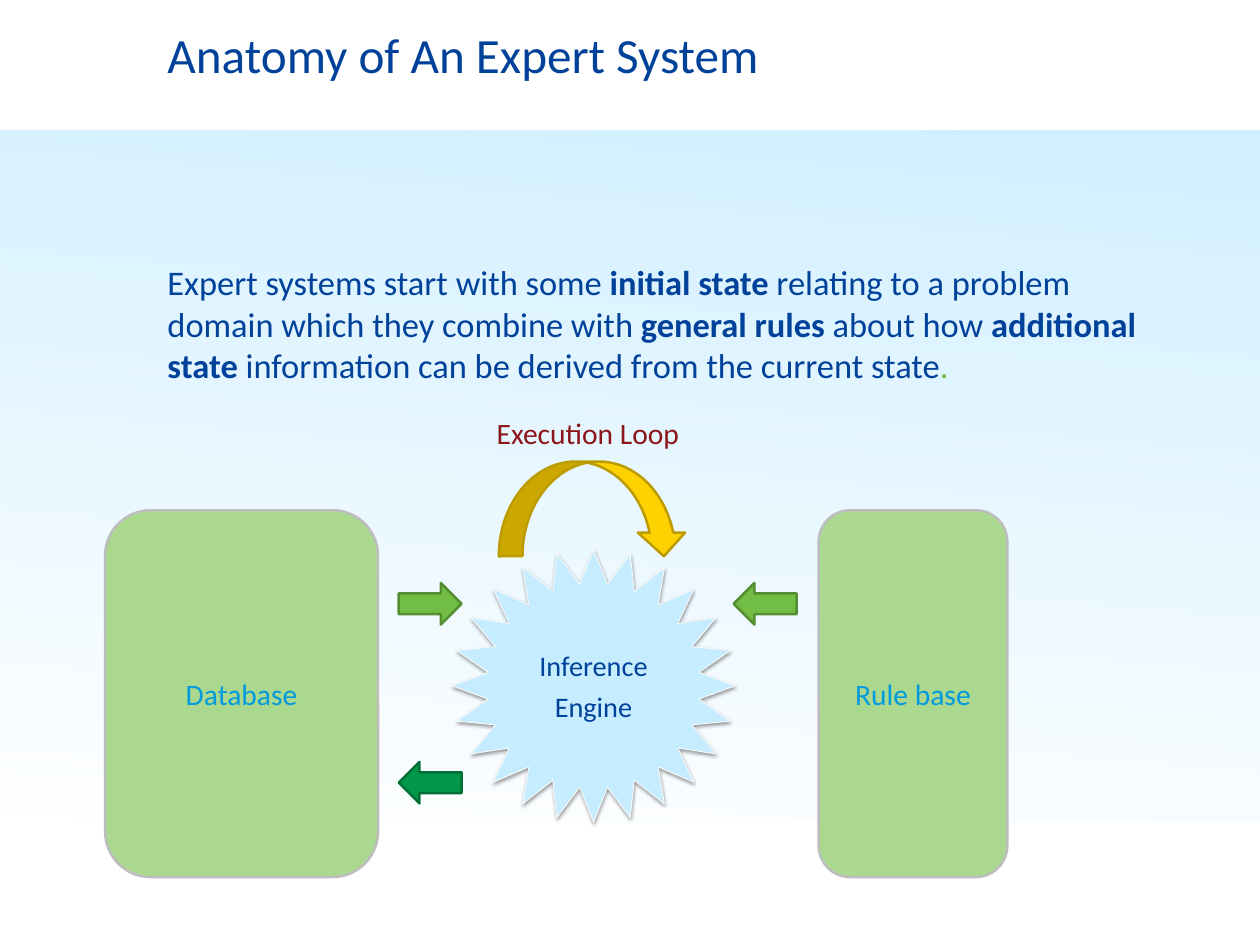
from lxml.etree import SubElement
from pptx import Presentation
from pptx.dml.color import RGBColor
from pptx.enum.shapes import MSO_SHAPE as Preset
from pptx.enum.text import MSO_ANCHOR as Anchor, PP_ALIGN as Align
from pptx.oxml.ns import qn
from pptx.util import Pt

NAVY = RGBColor(0x00, 0x42, 0x9A)
SKY = RGBColor(0x66, 0xCC, 0xFF)
WHITE = RGBColor(0xFF, 0xFF, 0xFF)
AZURE = RGBColor(0x00, 0x9A, 0xDE)
MAROON = RGBColor(0x8C, 0x16, 0x1A)
PALE_GREEN = RGBColor(0xAA, 0xD8, 0x8F)
SILVER = RGBColor(0xBD, 0xBD, 0xBD)
PALE_BLUE = RGBColor(0xC5, 0xED, 0xFF)
MIST = RGBColor(0xF9, 0xF9, 0xF9)
LIME = RGBColor(0x72, 0xBE, 0x44)
MOSS = RGBColor(0x54, 0x8D, 0x32)
GREEN = RGBColor(0x00, 0x97, 0x4A)
FOREST = RGBColor(0x00, 0x70, 0x37)
GOLD = RGBColor(0xFE, 0xD1, 0x00)
BRONZE = RGBColor(0xBC, 0x9B, 0x00)

WIDTH, HEIGHT = 1024, 768


def write(frame, paragraphs, size, color, align=Align.LEFT, anchor=Anchor.TOP,
          inset=(10, 5), wrap=True):
    frame.word_wrap = wrap
    frame.vertical_anchor = anchor
    frame.margin_left = frame.margin_right = Pt(inset[0])
    frame.margin_top = frame.margin_bottom = Pt(inset[1])
    for index, runs in enumerate(paragraphs):
        paragraph = frame.add_paragraph() if index else frame.paragraphs[0]
        paragraph.alignment = align
        if index:
            paragraph.space_before = Pt(6)
        for words, bold, accent in runs:
            run = paragraph.add_run()
            run.text = words
            run.font.name = "Calibri"
            run.font.size = Pt(size)
            run.font.bold = bold
            run.font.color.rgb = accent or color


def plain(words):
    return (words, False, None)


def strong(words):
    return (words, True, None)


def add_text(slide, box, paragraphs, **text_format):
    textbox = slide.shapes.add_textbox(*map(Pt, box))
    write(textbox.text_frame, paragraphs, **text_format)


def add_block(slide, preset, box, fill, outline, weight=2):
    block = slide.shapes.add_shape(preset, *map(Pt, box))
    block.shadow.inherit = False
    block.fill.solid()
    block.fill.fore_color.rgb = fill
    block.line.color.rgb = outline
    block.line.width = Pt(weight)
    return block


def label(block, lines, size, color):
    write(block.text_frame, [[plain(line)] for line in lines], size, color,
          align=Align.CENTER, anchor=Anchor.MIDDLE)


def add_alpha(color_element, percent):
    SubElement(color_element, qn("a:alpha"), val=str(percent * 1000))


def add_backdrop(slide):
    backdrop = slide.shapes.add_shape(
        Preset.RECTANGLE, 0, Pt(105.8), Pt(WIDTH), Pt(561.6))
    backdrop.shadow.inherit = False
    backdrop.line.fill.background()
    backdrop.fill.gradient()
    backdrop.fill.gradient_angle = 265
    for stop, color in zip(backdrop.fill.gradient_stops, (SKY, WHITE)):
        stop.color.rgb = color
    for color_element in list(backdrop._element.spPr.iter(qn("a:srgbClr"))):
        add_alpha(color_element, 30)


def add_drop_shadow(block):
    effects = block._element.spPr.find(qn("a:effectLst"))
    shadow = SubElement(effects, qn("a:outerShdw"), blurRad=str(Pt(3.1)),
                        dist=str(Pt(1.6)), dir="5400000", rotWithShape="0")
    add_alpha(SubElement(shadow, qn("a:srgbClr"), val="000000"), 38)


def add_engine(slide):
    engine = add_block(slide, Preset.STAR_24_POINT, (367.2, 446.4, 230.4, 221.8),
                       PALE_BLUE, MIST, 0.75)
    add_drop_shadow(engine)
    label(engine, ["Inference", "Engine"], 23, NAVY)


def main():
    deck = Presentation()
    deck.slide_width, deck.slide_height = Pt(WIDTH), Pt(HEIGHT)
    slide = deck.slides.add_slide(deck.slide_layouts[6])

    add_backdrop(slide)
    add_text(slide, (131.8, 15.1, 830.2, 118.8),
             [[plain("Anatomy of An Expert System")]],
             size=40, color=NAVY, inset=(4.3, 4.3))
    summary = [
        plain("Expert systems start with some "),
        strong("initial state "),
        plain("relating to a problem domain which they combine with "),
        strong("general rules "),
        plain("about how "),
        strong("additional state "),
        plain("information can be derived from the current state"),
        (".", False, LIME),
    ]
    add_text(slide, (131.8, 208.1, 830.2, 419.8), [summary],
             size=28, color=NAVY, inset=(4.3, 4.3))

    for name, left, width in (("Database", 85.4, 221.8), ("Rule base", 665.3, 153.4)):
        store = add_block(slide, Preset.ROUNDED_RECTANGLE,
                          (left, 414.7, width, 298.1), PALE_GREEN, SILVER)
        label(store, [name], 24, AZURE)

    add_engine(slide)
    for preset, left, top, fill, outline in (
        (Preset.RIGHT_ARROW, 324, 473.8, LIME, MOSS),
        (Preset.LEFT_ARROW, 596.2, 473.8, LIME, MOSS),
        (Preset.LEFT_ARROW, 324, 619.2, GREEN, FOREST),
    ):
        add_block(slide, preset, (left, top, 51.1, 33.8), fill, outline)

    add_block(slide, Preset.CURVED_DOWN_ARROW, (405.4, 375.1, 153.4, 77), GOLD, BRONZE)
    add_text(slide, (389.5, 332.6, 176.4, 39.6), [[plain("Execution Loop")]],
             size=24, color=MAROON, align=Align.CENTER, wrap=False)

    deck.save("out.pptx")


if __name__ == "__main__":
    main()
